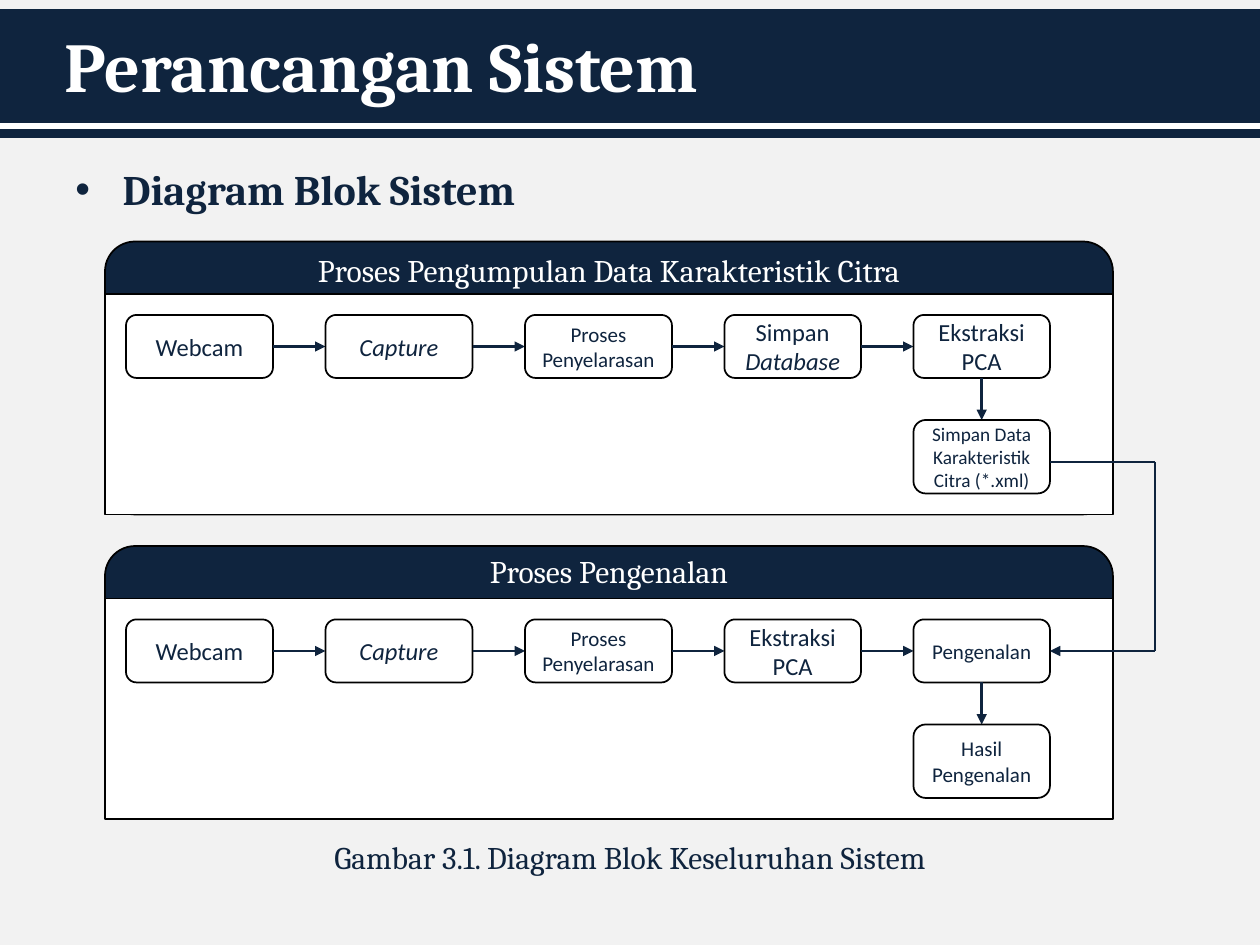
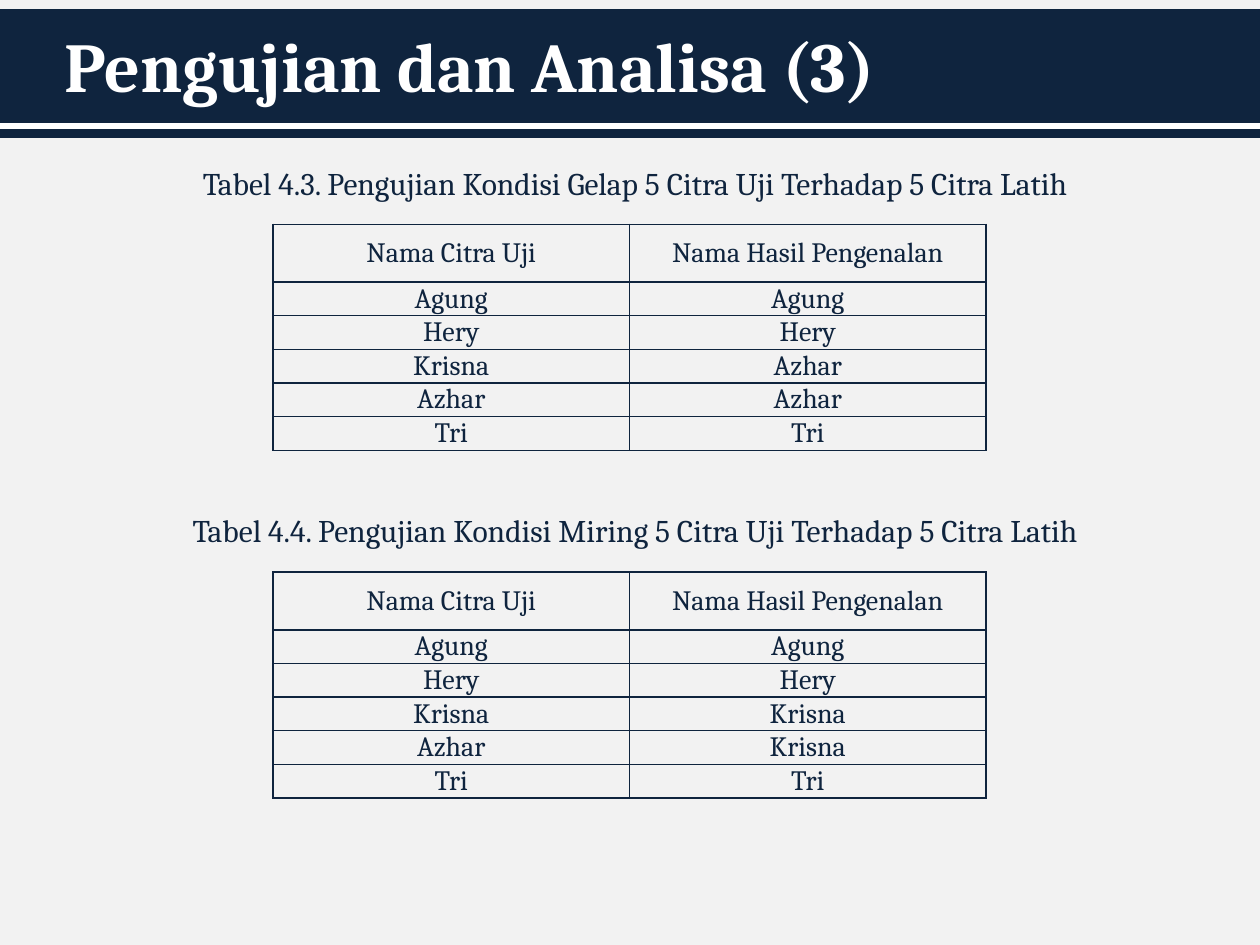
from lxml.etree import SubElement
from pptx import Presentation
from pptx.dml.color import RGBColor
from pptx.enum.shapes import MSO_CONNECTOR as Link, MSO_SHAPE as Form
from pptx.enum.text import MSO_ANCHOR as Anchor, PP_ALIGN as Align
from pptx.oxml.ns import qn
from pptx.util import Pt

NAVY, WHITE, BLACK, PALE = "0F243E", "FFFFFF", "000000", "F2F2F2"
SERIF, SANS = "Cambria", "Calibri"

# Content: a box is (font size, paragraphs); a paragraph is (text, italic)
CAM = (14, [("Webcam", False)])
CATCH = (14, [("Capture", True)])
ALIGN = (12, [("Proses", False), ("Penyelarasan", False)])
PANELS = [
    {"title": "Proses Pengumpulan Data Karakteristik Citra", "top": 138, "mid": 16.5,
     "steps": [CAM, CATCH, ALIGN,
               (14, [("Simpan", False), ("Database", True)]),
               (14, [("Ekstraksi PCA", False)])],
     "end": (11, [("Simpan Data Karakteristik Citra (*.xml)", False)])},
    {"title": "Proses Pengenalan", "top": 312, "mid": 14.5,
     "steps": [CAM, CATCH, ALIGN,
               (14, [("Ekstraksi\nPCA", False)]),
               (12, [("Pengenalan", False)])],
     "end": (12, [("Hasil\nPengenalan", False)])},
]
HEAD = ("Nama Citra Uji", "Nama Hasil Pengenalan")
NAMES = ("Agung", "Hery", "Krisna", "Azhar", "Tri")
TESTS = [
    ("Tabel 4.3. Pengujian Kondisi Gelap 5 Citra Uji Terhadap 5 Citra Latih",
     90, ("Agung", "Hery", "Azhar", "Azhar", "Tri")),
    ("Tabel 4.4. Pengujian Kondisi Miring 5 Citra Uji Terhadap 5 Citra Latih",
     288.72, ("Agung", "Hery", "Krisna", "Krisna", "Tri")),
]

# Layout, in points
WIDE, TALL = 720, 540
PANEL_X, PANEL_W, PANEL_H, HEAD_H = 60, 576, 156, 30
STEP_X, STEP_GAP, STEP_W = 72, 30, (84, 84, 84, 78, 78)
STEP_DY, STEP_H, END_DY, END_H = 42, 36, 102, 42
FEED_X, FEED_DY = 660, 126


def color(code):
    """Turn a hex string into a colour."""
    return RGBColor.from_string(code)


def write(para, text, size, face, ink, bold=False, ital=False):
    """Add text to a paragraph, with a line break at each newline."""
    for i, part in enumerate(text.split("\n")):
        if i:
            para.add_line_break()
        run = para.add_run()
        run.text = part
        font = run.font
        font.size, font.name, font.bold, font.italic = Pt(size), face, bold, ital
        font.color.rgb = color(ink)


def label(slide, box, text, size, ink=NAVY, bold=False, side=Align.CENTER,
          anchor=Anchor.TOP):
    """Add a wrapped serif text box and return its paragraph."""
    frame = slide.shapes.add_textbox(*map(Pt, box)).text_frame
    frame.word_wrap, frame.vertical_anchor = True, anchor
    para = frame.paragraphs[0]
    para.alignment = side
    write(para, text, size, SERIF, ink, bold)
    return para


def block(slide, box, fill, edge=BLACK, width=1, form=Form.ROUNDED_RECTANGLE,
          bend=None):
    """Add a filled, outlined shape and return it."""
    shape = slide.shapes.add_shape(form, *map(Pt, box))
    shape.shadow.inherit = False
    shape.fill.solid()
    shape.fill.fore_color.rgb = color(fill)
    shape.line.color.rgb = color(edge)
    shape.line.width = Pt(width)
    if bend is not None:
        shape.adjustments[0] = bend
    return shape


def rule(slide, start, end, ink=NAVY, width=1.5, arrow=True):
    """Draw a straight line, with an arrowhead at its end if asked."""
    line = slide.shapes.add_connector(Link.STRAIGHT, *map(Pt, start + end))
    line.line.color.rgb = color(ink)
    line.line.width = Pt(width)
    if arrow:
        SubElement(line.line._get_or_add_ln(), qn("a:tailEnd"), type="triangle")
    SubElement(line._element.spPr, qn("a:effectLst"))


def start(deck, title):
    """Add a slide with the shared background, band and title."""
    slide = deck.slides.add_slide(deck.slide_layouts[6])
    slide.background.fill.solid()
    slide.background.fill.fore_color.rgb = color(PALE)
    block(slide, (0, 6, WIDE, 72), NAVY, NAVY, 2, Form.RECTANGLE)
    rule(slide, (0, 72), (WIDE, 72), WHITE, 4, False)
    label(slide, (30, 0, 648, 74), title, 40, WHITE, True, Align.LEFT, Anchor.MIDDLE)
    return slide


def step(slide, box, size, paras):
    """Add one box of the flow."""
    frame = block(slide, box, WHITE).text_frame
    frame.word_wrap, frame.vertical_anchor = True, Anchor.MIDDLE
    for i, (text, ital) in enumerate(paras):
        para = frame.add_paragraph() if i else frame.paragraphs[0]
        para.alignment = Align.CENTER
        write(para, text, size, SANS, NAVY, ital=ital)


def panel(slide, title, top, mid, steps, end):
    """Draw a titled panel with a row of steps and an end box below the last."""
    outer = block(slide, (PANEL_X, top, PANEL_W, PANEL_H), NAVY, bend=0.11)
    frame = outer.text_frame
    frame.word_wrap, frame.vertical_anchor = True, Anchor.MIDDLE
    frame.margin_top, frame.margin_bottom = 0, Pt(PANEL_H - 2 * mid)
    frame.paragraphs[0].alignment = Align.CENTER
    write(frame.paragraphs[0], title, 18, SERIF, WHITE)
    block(slide, (PANEL_X, top + HEAD_H, PANEL_W, PANEL_H - HEAD_H), WHITE, bend=0)

    x, y = STEP_X, top + STEP_DY
    axis = y + STEP_H / 2
    for i, (wide, (size, paras)) in enumerate(zip(STEP_W, steps)):
        if i:
            rule(slide, (x - STEP_GAP, axis), (x, axis))
        step(slide, (x, y, wide, STEP_H), size, paras)
        x += wide + STEP_GAP
    left = x - wide - STEP_GAP
    center = left + wide / 2
    rule(slide, (center, y + STEP_H), (center, top + END_DY))
    step(slide, (left, top + END_DY, wide, END_H), *end)


def grid(slide, top, rows):
    """Add a bordered table without fill."""
    table = slide.shapes.add_table(len(rows), 2, Pt(156), Pt(top), Pt(407.5),
                                   Pt(105)).table
    table.first_row = table.horz_banding = False
    for col in table.columns:
        col.width = Pt(203.75)
    for i, row in enumerate(rows):
        table.rows[i].height = Pt(14.4 if i else 33)
        for j, text in enumerate(row):
            cell = table.cell(i, j)
            cell.margin_left = cell.margin_right = Pt(5)
            cell.margin_top = cell.margin_bottom = 0
            cell.vertical_anchor = Anchor.MIDDLE
            para = cell.text_frame.paragraphs[0]
            para.alignment, para.space_before = Align.CENTER, Pt(6)
            write(para, text, 16, SERIF, NAVY)
            props = cell._tc.get_or_add_tcPr()
            for side in ("lnL", "lnR", "lnT", "lnB"):
                edge = SubElement(props, qn("a:" + side), w=str(Pt(1)))
                paint = SubElement(edge, qn("a:solidFill"))
                SubElement(paint, qn("a:srgbClr"), val=NAVY)
            cell.fill.background()


def design(deck):
    """Build the slide with the block diagram."""
    slide = start(deck, "Perancangan Sistem")
    para = label(slide, (36, 90, 648, 42), "Diagram Blok Sistem", 24, bold=True,
                 side=Align.LEFT)
    props = para._p.get_or_add_pPr()
    props.set("marL", str(Pt(27)))
    props.set("indent", str(-Pt(27)))
    SubElement(props, qn("a:buFont"), typeface="Arial")
    SubElement(props, qn("a:buChar"), char="\u2022")
    for item in PANELS:
        panel(slide, **item)

    edge = STEP_X + sum(STEP_W) + STEP_GAP * (len(STEP_W) - 1)
    high = PANELS[0]["top"] + FEED_DY
    low = PANELS[1]["top"] + STEP_DY + STEP_H / 2
    rule(slide, (edge, high), (FEED_X, high), arrow=False)
    rule(slide, (FEED_X, high), (FEED_X, low), arrow=False)
    rule(slide, (FEED_X, low), (edge, low))
    label(slide, (60, 475.2, 600, 29), "Gambar 3.1. Diagram Blok Keseluruhan Sistem", 18)


def results(deck):
    """Build the slide with the two test tables."""
    slide = start(deck, "Pengujian dan Analisa (3)")
    for title, top, found in TESTS:
        label(slide, (72, top, 582, 29), title, 18)
        grid(slide, top + 38.2, [HEAD, *zip(NAMES, found)])


deck = Presentation()
deck.slide_width, deck.slide_height = Pt(WIDE), Pt(TALL)
design(deck)
results(deck)
deck.save("out.pptx")
